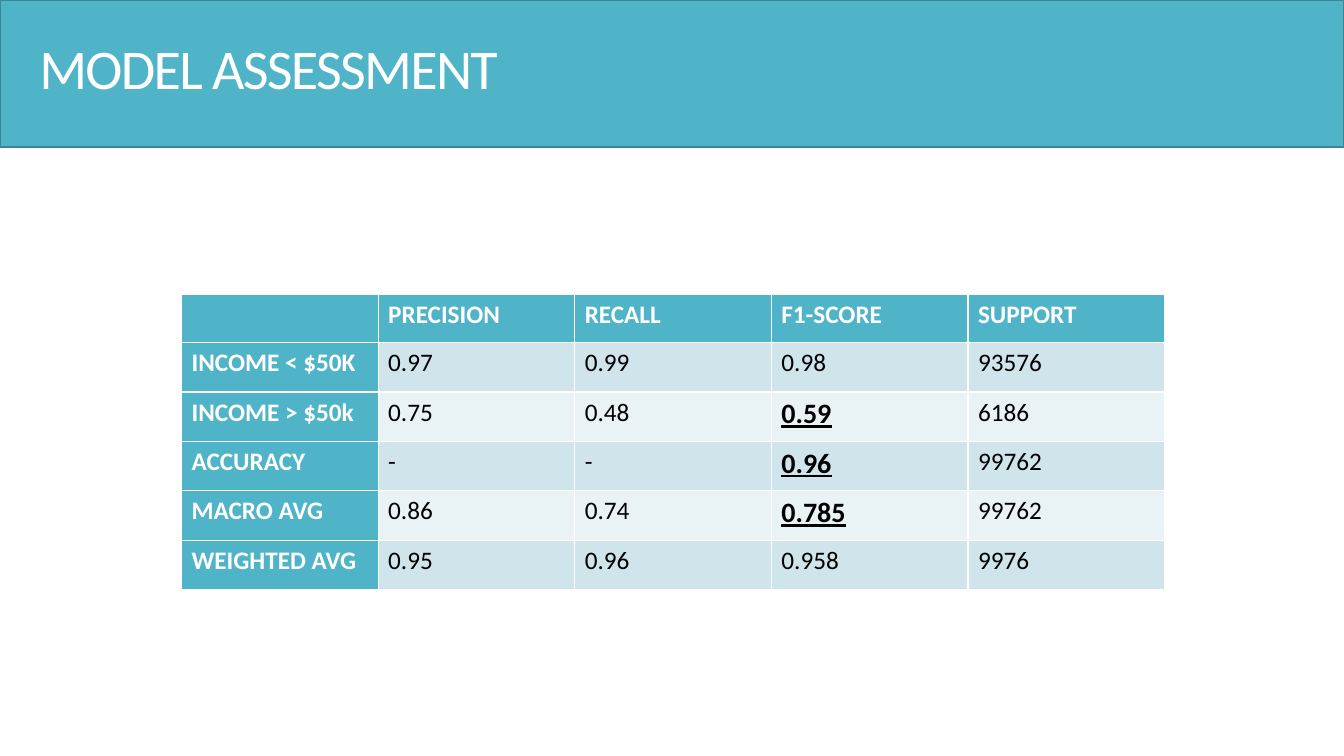
from dataclasses import dataclass

from pptx import Presentation
from pptx.dml.color import RGBColor
from pptx.enum.shapes import MSO_SHAPE as Shape
from pptx.enum.text import MSO_ANCHOR as Anchor, PP_ALIGN as Align
from pptx.util import Inches, Pt

TITLE = "MODEL ASSESSMENT"
HEADER = ("", "PRECISION", "RECALL", "F1-SCORE", "SUPPORT")
SCORES = [
    ("INCOME < $50K", "0.97", "0.99", "0.98", "93576"),
    ("INCOME > $50k", "0.75", "0.48", "0.59", "6186"),
    ("ACCURACY", "-", "-", "0.96", "99762"),
    ("MACRO AVG", "0.86", "0.74", "0.785", "99762"),
    ("WEIGHTED AVG", "0.95", "0.96", "0.958", "9976"),
]
F1_COLUMN = HEADER.index("F1-SCORE")
KEY_ROWS = ("INCOME > $50k", "ACCURACY", "MACRO AVG")


@dataclass(frozen=True)
class Theme:
    font: str = "Calibri"
    teal: RGBColor = RGBColor(0x50, 0xB4, 0xC8)
    teal_dark: RGBColor = RGBColor(0x3B, 0x85, 0x94)
    row_fills: tuple = (RGBColor(0xD0, 0xE5, 0xEB), RGBColor(0xE9, 0xF2, 0xF5))
    white: RGBColor = RGBColor(0xFF, 0xFF, 0xFF)
    black: RGBColor = RGBColor(0x00, 0x00, 0x00)
    title_size: Pt = Pt(40)
    cell_size: Pt = Pt(18)
    key_size: Pt = Pt(20)


THEME = Theme()
SLIDE_WIDTH, SLIDE_HEIGHT = Inches(13.33), Inches(7.5)
BAND_HEIGHT = Inches(1.46)
TABLE_LEFT, TABLE_TOP = Inches(1.8), Inches(2.92)
COLUMN_WIDTH = Inches(1.95)
HEADER_HEIGHT, ROW_HEIGHT = Inches(0.48), Inches(0.49)


def add_run(paragraph, text, size, color, bold=False, underline=False):
    run = paragraph.add_run()
    run.text = text
    font = run.font
    font.name, font.size = THEME.font, size
    font.bold, font.underline = bold, underline
    font.color.rgb = color
    return run


def add_title_band(slide):
    title = slide.shapes.title
    title.left, title.top = Inches(0.29), 0
    title.width, title.height = Inches(12.53), BAND_HEIGHT
    title.text_frame.vertical_anchor = Anchor.MIDDLE
    paragraph = title.text_frame.paragraphs[0]
    paragraph.alignment = Align.LEFT
    paragraph.line_spacing = 0.8
    run = add_run(paragraph, TITLE, THEME.title_size, THEME.white)
    run.font._element.set("spc", "-120")

    band = slide.shapes.add_shape(Shape.RECTANGLE, 0, 0, SLIDE_WIDTH, BAND_HEIGHT)
    band.shadow.inherit = False
    band.fill.solid()
    band.fill.fore_color.rgb = THEME.teal
    band.line.color.rgb = THEME.teal_dark
    band.line.width = Pt(1)
    title.element.addprevious(band.element)


def fill_cell(cell, text, row, column):
    is_heading = row == 0 or column == 0
    is_key = column == F1_COLUMN and row > 0 and SCORES[row - 1][0] in KEY_ROWS
    cell.fill.solid()
    cell.fill.fore_color.rgb = THEME.teal if is_heading else THEME.row_fills[(row - 1) % 2]
    if text:
        add_run(
            cell.text_frame.paragraphs[0],
            text,
            THEME.key_size if is_key else THEME.cell_size,
            THEME.white if is_heading else THEME.black,
            bold=is_heading or is_key,
            underline=is_key,
        )


def add_score_table(slide):
    rows = [HEADER, *SCORES]
    table = slide.shapes.add_table(
        len(rows), len(HEADER), TABLE_LEFT, TABLE_TOP,
        COLUMN_WIDTH * len(HEADER), HEADER_HEIGHT + ROW_HEIGHT * len(SCORES),
    ).table
    table.first_col = True
    for column in table.columns:
        column.width = COLUMN_WIDTH
    for row, values in enumerate(rows):
        table.rows[row].height = ROW_HEIGHT if row else HEADER_HEIGHT
        for column, text in enumerate(values):
            fill_cell(table.cell(row, column), text, row, column)


def main():
    presentation = Presentation()
    presentation.slide_width, presentation.slide_height = SLIDE_WIDTH, SLIDE_HEIGHT
    slide = presentation.slides.add_slide(presentation.slide_layouts.get_by_name("Title Only"))
    add_title_band(slide)
    add_score_table(slide)
    presentation.save("out.pptx")


if __name__ == "__main__":
    main()
